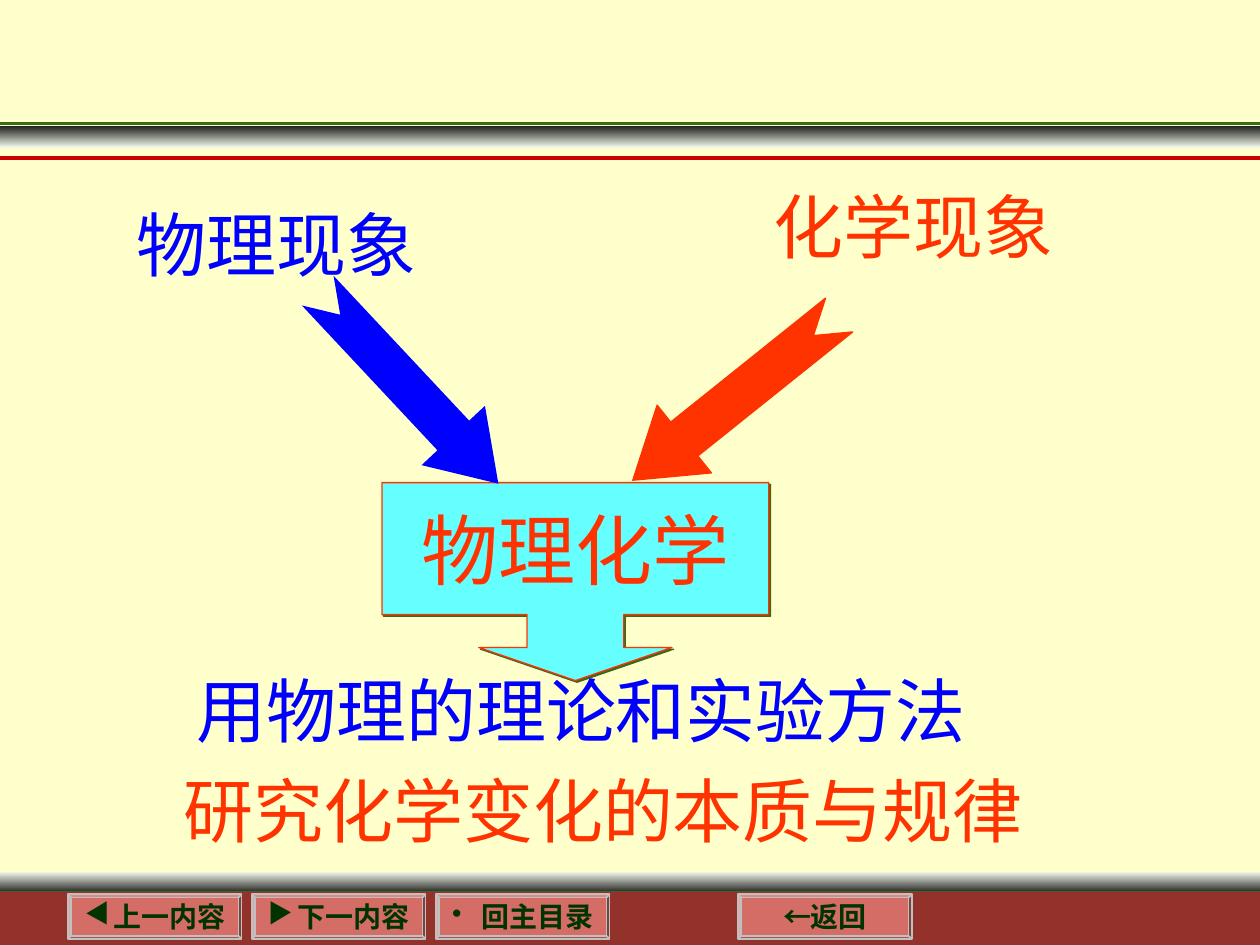
import pptx
import pptx.dml.color
import pptx.enum.shapes
import pptx.enum.text
import pptx.oxml
import pptx.oxml.ns
import pptx.util
import lxml.etree

Cm = pptx.util.Cm
Pt = pptx.util.Pt
RGBColor = pptx.dml.color.RGBColor
MSO_SHAPE = pptx.enum.shapes.MSO_SHAPE
qn = pptx.oxml.ns.qn

CREAM = RGBColor(0xFF, 0xFF, 0xCC)
PALE = RGBColor(0xF1, 0xF7, 0xE9)
BLACK = RGBColor(0x1C, 0x1C, 0x1C)
GREEN = RGBColor(0x36, 0x6B, 0x1B)
DARK_GREEN = RGBColor(0x00, 0x33, 0x00)
BROWN = RGBColor(0x92, 0x32, 0x2A)
PINK = RGBColor(0xD3, 0x6D, 0x65)
SILVER = RGBColor(0xC0, 0xC0, 0xC0)
CRIMSON = RGBColor(0xCC, 0x00, 0x00)
CYAN = RGBColor(0x66, 0xFF, 0xFF)
ORANGE = RGBColor(0xFF, 0x33, 0x00)
BLUE = RGBColor(0x00, 0x00, 0xFF)
CJK_FONT = "Noto Sans CJK SC"

prs = pptx.Presentation()
prs.slide_width, prs.slide_height = Cm(25.4), Cm(19.05)
slide = prs.slides.add_slide(prs.slide_layouts[6])
slide.background.fill.solid()
slide.background.fill.fore_color.rgb = CREAM


def add_shape(kind, left, top, width, height, fill=None, line=None, weight=0.75):
    shape = slide.shapes.add_shape(kind, Cm(left), Cm(top), Cm(width), Cm(height))
    shape.shadow.inherit = False
    if fill is not None:
        shape.fill.solid()
        shape.fill.fore_color.rgb = fill
    if line is None:
        shape.line.fill.background()
    else:
        shape.line.color.rgb = line
        shape.line.width = Pt(weight)
    return shape


def format_runs(paragraph, size, color, font=CJK_FONT, bold=False):
    for run in paragraph.runs:
        run.font.size = Pt(size)
        run.font.bold = bold
        run.font.color.rgb = color
        run.font.name = font
        east_asian = lxml.etree.SubElement(run.font._element, qn("a:ea"))
        east_asian.set("typeface", CJK_FONT)


# Shaded bands above the footer and under the title area
for top, first, last in [(17.58, PALE, BLACK), (2.54, BLACK, PALE)]:
    band = add_shape(MSO_SHAPE.RECTANGLE, 0, top, 25.4, 0.43)
    band.fill.gradient()
    band.fill.gradient_angle = 270
    for stop, color in zip(band.fill.gradient_stops, (first, last)):
        stop.color.rgb = color

# Horizontal rules
for y, color, weight in [(17.98, GREEN, 1.5), (2.49, GREEN, 1.5), (3.18, CRIMSON, 2.25)]:
    rule = slide.shapes.add_connector(
        pptx.enum.shapes.MSO_CONNECTOR.STRAIGHT, Cm(0), Cm(y), Cm(25.4), Cm(y))
    rule.line.color.rgb = color
    rule.line.width = Pt(weight)
    lxml.etree.SubElement(rule._element.spPr, qn("a:effectLst"))

# Footer bar, over the lowest rule
add_shape(MSO_SHAPE.RECTANGLE, 0, 17.98, 25.4, 1.07, BROWN)

# Navigation buttons
for left, bullet, label in [(1.37, "◀", "上一内容"), (5.08, "▶", "下一内容"),
                            (8.79, "•", "回主目录"), (14.88, None, "←返回")]:
    button = add_shape(MSO_SHAPE.BEVEL, left, 18.03, 3.5, 0.9, PINK, SILVER, 1)
    button.adjustments[0] = 0.07
    frame = button.text_frame
    frame.text = label
    frame.word_wrap = False
    frame.margin_top = frame.margin_bottom = 0
    frame.vertical_anchor = pptx.enum.text.MSO_ANCHOR.MIDDLE
    caption = frame.paragraphs[0]
    caption.alignment = pptx.enum.text.PP_ALIGN.CENTER
    if bullet:
        properties = caption._p.get_or_add_pPr()
        properties.set("marL", str(Cm(0.6)))
        properties.set("indent", str(Cm(-0.6)))
        bullet_color = lxml.etree.SubElement(properties, qn("a:buClr"))
        lxml.etree.SubElement(bullet_color, qn("a:srgbClr")).set("val", str(DARK_GREEN))
        lxml.etree.SubElement(properties, qn("a:buChar")).set("char", bullet)
    else:
        caption.text = "←"
        caption.add_run().text = "返回"
    format_runs(caption, 16, DARK_GREEN, "Times New Roman", True)
    if not bullet:
        caption.runs[0].font.name = "Arial"

# Central callout with a hard shadow
callout = add_shape(MSO_SHAPE.DOWN_ARROW_CALLOUT, 7.7, 9.73, 7.8, 3.99, CYAN, ORANGE)
for index, value in enumerate((0.488, 0.488, 0.167, 0.667)):
    callout.adjustments[index] = value
effects = callout._element.spPr.find(qn("a:effectLst"))
shadow = lxml.etree.SubElement(effects, qn("a:outerShdw"))
shadow.set("dist", str(Pt(1.4)))
shadow.set("dir", str(45 * 60000))
shadow.set("algn", "ctr")
shadow.set("rotWithShape", "0")
lxml.etree.SubElement(shadow, qn("a:srgbClr")).set("val", str(GREEN))
callout.text_frame.text = "物理化学"
callout.text_frame.word_wrap = False
callout.text_frame.vertical_anchor = pptx.enum.text.MSO_ANCHOR.MIDDLE
callout.text_frame.paragraphs[0].alignment = pptx.enum.text.PP_ALIGN.CENTER
format_runs(callout.text_frame.paragraphs[0], 44, ORANGE)

# Method and aim below, phenomena above; each box a little wider than its line
for left, top, width, wording, color in [
        (3.71, 13.34, 16.1, "用物理的理论和实验方法", BLUE),
        (3.45, 15.34, 17.5, "研究化学变化的本质与规律", ORANGE),
        (2.51, 3.94, 6.2, "物理现象", BLUE),
        (15.34, 3.58, 6.2, "化学现象", ORANGE)]:
    statement = slide.shapes.add_textbox(Cm(left), Cm(top), Cm(width), Cm(1.96))
    statement.text_frame.text = wording
    statement.text_frame.word_wrap = False
    statement.text_frame.auto_size = pptx.enum.text.MSO_AUTO_SIZE.SHAPE_TO_FIT_TEXT
    format_runs(statement.text_frame.paragraphs[0], 40, color)

# Arrows from the phenomena to the callout
for left, top, angle, color, outline in [(5.56, 6.93, 46.9, BLUE, None),
                                         (12.17, 7.14, 141.3, ORANGE, ORANGE)]:
    arrow = add_shape(MSO_SHAPE.NOTCHED_RIGHT_ARROW, left, top, 5.33, 1.75, color, outline)
    arrow.adjustments[0] = 0.5
    arrow.adjustments[1] = 0.76
    arrow.rotation = angle

prs.save("out.pptx")
